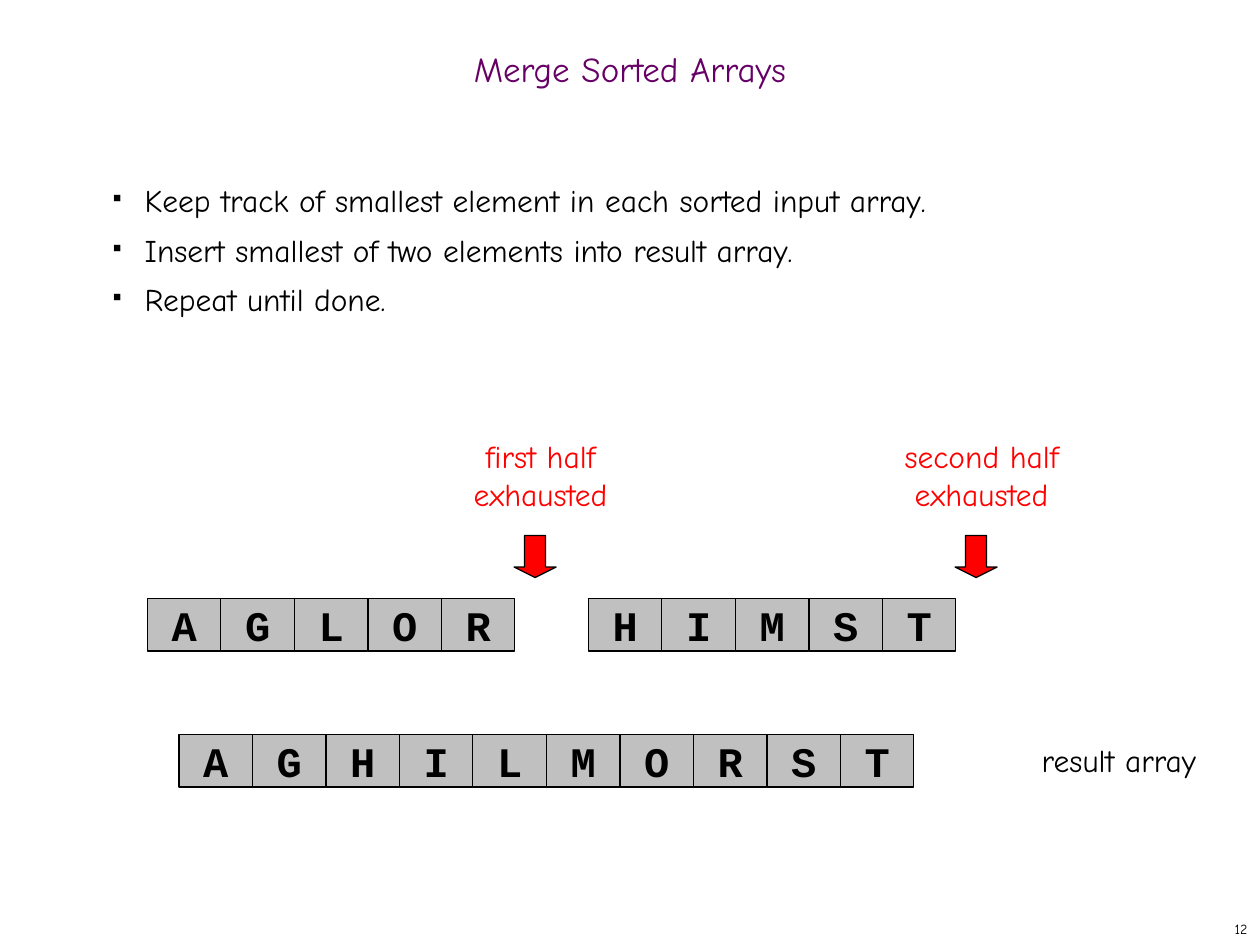
from lxml import etree
from pptx import Presentation
from pptx.dml.color import RGBColor
from pptx.enum.shapes import MSO_SHAPE
from pptx.enum.text import MSO_ANCHOR, MSO_AUTO_SIZE, PP_ALIGN
from pptx.oxml.ns import qn
from pptx.util import Inches, Pt

LEFT, CENTER, RIGHT = PP_ALIGN.LEFT, PP_ALIGN.CENTER, PP_ALIGN.RIGHT
MIDDLE = MSO_ANCHOR.MIDDLE
NO_AUTOFIT = MSO_AUTO_SIZE.NONE
CELL, DOWN_ARROW = MSO_SHAPE.RECTANGLE, MSO_SHAPE.DOWN_ARROW

BLACK = RGBColor(0x00, 0x00, 0x00)
RED = RGBColor(0xFF, 0x00, 0x00)
GRAY = RGBColor(0xC0, 0xC0, 0xC0)
PURPLE = RGBColor(0x66, 0x00, 0x66)

BODY_FONT, CELL_FONT = "Comic Neue", "Courier New"
CELL_WIDTH, CELL_HEIGHT = 7 / 12, 5 / 12
ARROW_SIZE = 1 / 3


def write(paragraph, text, size=18, font=BODY_FONT, color=BLACK, bold=False, align=CENTER):
    paragraph.text = text
    paragraph.alignment = align
    for run in paragraph.runs:
        run.font.size = Pt(size)
        run.font.name = font
        run.font.color.rgb = color
        run.font.bold = bold


def add_outlined(shapes, preset, left, top, width, height, fill):
    shape = shapes.add_shape(preset, Inches(left), Inches(top), Inches(width), Inches(height))
    shape.shadow.inherit = False
    shape.fill.solid()
    shape.fill.fore_color.rgb = fill
    shape.line.color.rgb = BLACK
    shape.line.width = Pt(0.75)
    return shape


prs = Presentation()
prs.slide_width, prs.slide_height = Inches(10), Inches(7.5)
slide = prs.slides.add_slide(prs.slide_layouts[5])

title = slide.shapes.title
title.left, title.top = Inches(0), Inches(0.25)
title.width, title.height = Inches(10), Inches(0.67)
title.text_frame.auto_size = NO_AUTOFIT
title.text_frame.vertical_anchor = MIDDLE
title_line = title.text_frame.paragraphs[0]
write(title_line, "Merge Sorted Arrays", size=20, color=PURPLE)
title_line.line_spacing = 0.7

steps = slide.shapes.add_textbox(Inches(0.67), Inches(1.36), Inches(8.58), Inches(1.3)).text_frame
steps.word_wrap = True
for index, step in enumerate([
    "Keep track of smallest element in each sorted input array.",
    "Insert smallest of two elements into result array.",
    "Repeat until done.",
]):
    paragraph = steps.add_paragraph() if index else steps.paragraphs[0]
    write(paragraph, step, align=LEFT)
    paragraph.line_spacing = 1.1
    paragraph.space_before = Pt(4.5 if index else 0)
    properties = paragraph.runs[0]._r.getparent().get_or_add_pPr()
    properties.set("marL", str(Inches(0.38)))
    properties.set("indent", str(Inches(-0.25)))
    bullet_color = etree.SubElement(properties, qn("a:buClr"))
    etree.SubElement(bullet_color, qn("a:srgbClr"), val=str(BLACK))
    etree.SubElement(properties, qn("a:buSzPct"), val="35000")
    etree.SubElement(properties, qn("a:buChar"), char="■")

for text, left, top, width, height, color in [
    ("first half\nexhausted", 3.25, 3.42, 2.08, 0.7, RED),
    ("second half\nexhausted", 6.75, 3.42, 2.08, 0.7, RED),
    ("result array", 7.92, 5.83, 1.92, 0.4, BLACK),
]:
    label = slide.shapes.add_textbox(Inches(left), Inches(top), Inches(width), Inches(height)).text_frame
    label.word_wrap = True
    write(label.paragraphs[0], text.replace("\n", "\v"), color=color)

for arrow_left in (4.08, 7.58):
    arrow = add_outlined(slide.shapes, DOWN_ARROW, arrow_left, 4.25, ARROW_SIZE, ARROW_SIZE, RED)
    arrow.adjustments[0], arrow.adjustments[1] = 0.5, 0.25

for letters, row_left, row_top in [
    ("AGLOR", 1.17, 4.75),
    ("HIMST", 4.67, 4.75),
    ("AGHILMORST", 1.42, 5.83),
]:
    array = slide.shapes.add_group_shape().shapes
    for index, letter in enumerate(letters):
        cell = add_outlined(array, CELL, row_left + index * CELL_WIDTH, row_top,
                            CELL_WIDTH, CELL_HEIGHT, GRAY)
        cell.text_frame.word_wrap = False
        cell.text_frame.vertical_anchor = MIDDLE
        write(cell.text_frame.paragraphs[0], letter, size=24, font=CELL_FONT, bold=True)

page_number = slide.shapes.add_textbox(Inches(7.92), Inches(7.25), Inches(2.08), Inches(0.25)).text_frame
page_number.word_wrap = True
page_number.vertical_anchor = MIDDLE
write(page_number.paragraphs[0], "12", size=8, align=RIGHT)

prs.save("out.pptx")
